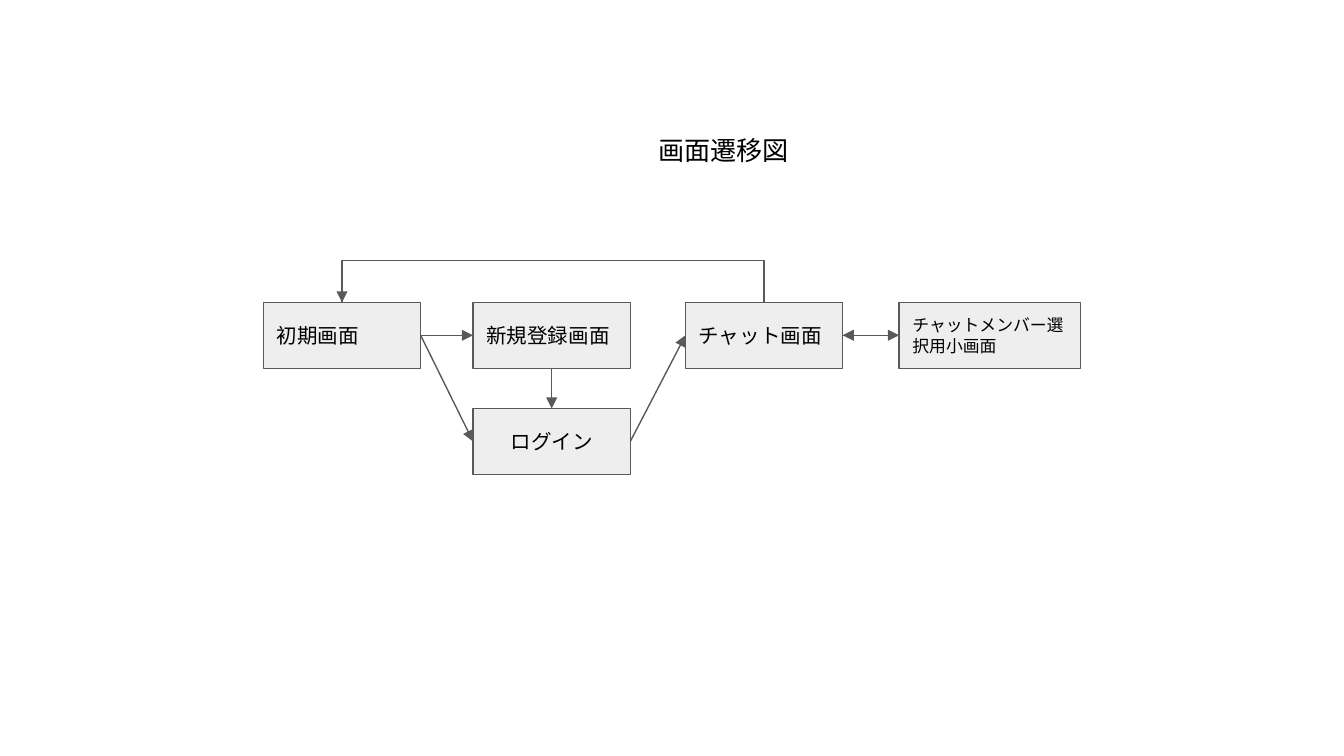
from lxml.etree import SubElement
from pptx import Presentation
from pptx.dml.color import RGBColor
from pptx.enum.shapes import MSO_CONNECTOR, MSO_SHAPE
from pptx.enum.text import MSO_ANCHOR, MSO_AUTO_SIZE, PP_ALIGN
from pptx.oxml.ns import qn
from pptx.util import Emu, Inches, Pt

TOP, LEFT, BOTTOM, RIGHT = range(4)
BOX_WIDTH, BOX_HEIGHT = 1.17, 0.49
LINE_COLOR = "595959"


def color(value):
    return RGBColor.from_string(value)


def write_text(shape, text, size=11, align=PP_ALIGN.LEFT, anchor=MSO_ANCHOR.MIDDLE):
    frame = shape.text_frame
    frame.word_wrap = True
    frame.auto_size = MSO_AUTO_SIZE.NONE
    frame.vertical_anchor = anchor
    frame.margin_left = frame.margin_right = Inches(0.1)
    frame.margin_top = frame.margin_bottom = Inches(0.1)
    paragraph = frame.paragraphs[0]
    paragraph.alignment = align
    run = paragraph.add_run()
    run.text = text
    run.font.name = "Arial"
    run.font.size = Pt(size)
    run.font.color.rgb = color("000000")


def add_title(slide, left, top, width, height):
    title = slide.shapes.title
    title.left, title.top = Inches(left), Inches(top)
    title.width, title.height = Inches(width), Inches(height)
    write_text(title, "画面遷移図", size=14, align=PP_ALIGN.CENTER, anchor=MSO_ANCHOR.TOP)


def add_screen(slide, left, top, text, width=BOX_WIDTH, **text_format):
    shape = slide.shapes.add_shape(
        MSO_SHAPE.RECTANGLE, Inches(left), Inches(top), Inches(width), Inches(BOX_HEIGHT)
    )
    shape.shadow.inherit = False
    shape.fill.solid()
    shape.fill.fore_color.rgb = color("EEEEEE")
    shape.line.color.rgb = color(LINE_COLOR)
    shape.line.width = Pt(0.75)
    write_text(shape, text, **text_format)
    return shape


def add_line(slide, start, end, kind=MSO_CONNECTOR.STRAIGHT, arrow=True):
    points = [Inches(value) for value in (*start, *end)]
    connector = slide.shapes.add_connector(kind, *points)
    connector.line.color.rgb = color(LINE_COLOR)
    connector.line.width = Pt(0.75)
    properties = connector._element.spPr
    if arrow:
        SubElement(properties.find(qn("a:ln")), qn("a:tailEnd"), type="triangle")
    SubElement(properties, qn("a:effectLst"))
    return connector


def link(slide, source, source_site, target, target_site):
    connector = add_line(slide, (0, 0), (1, 1))
    connector.begin_connect(source, source_site)
    connector.end_connect(target, target_site)


def add_return_route(slide, start_x, end_x, box_top, rise):
    center_x = (start_x + end_x) / 2
    half_span = (start_x - end_x) / 2
    depth = Emu(600)
    route = add_line(
        slide,
        (center_x, box_top - half_span),
        (center_x, box_top + half_span),
        kind=MSO_CONNECTOR.ELBOW,
        arrow=False,
    )
    route.width = depth
    properties = route._element.spPr
    properties.find(qn("a:xfrm")).set("rot", "5400000")
    guides = properties.find(qn("a:prstGeom")).find(qn("a:avLst"))
    bend = round(-Inches(rise) / depth * 100000)
    SubElement(guides, qn("a:gd"), name="adj1", fmla=f"val {bend}")
    add_line(slide, (end_x, box_top - rise + 0.01), (end_x, box_top))


def add_flow(slide, left, top):
    signup = add_screen(slide, left + 1.56, top, "新規登録画面")
    login = add_screen(slide, left + 1.56, top + 0.79, "ログイン", align=PP_ALIGN.CENTER)
    start = add_screen(slide, left, top, "初期画面")
    chat = add_screen(slide, left + 3.14, top, "チャット画面")
    members = add_screen(
        slide, left + 4.73, top, "チャットメンバー選択用小画面", width=1.35, size=9
    )
    for source, source_site, target, target_site in (
        (start, RIGHT, signup, LEFT),
        (start, RIGHT, login, LEFT),
        (signup, BOTTOM, login, TOP),
        (login, RIGHT, chat, LEFT),
        (chat, RIGHT, members, LEFT),
        (members, LEFT, chat, RIGHT),
    ):
        link(slide, source, source_site, target, target_site)
    center = left + BOX_WIDTH / 2
    add_return_route(slide, center + 3.14, center, top, rise=0.26)


def main():
    presentation = Presentation()
    presentation.slide_width = Inches(10)
    presentation.slide_height = presentation.slide_width * 9 // 16
    slide = presentation.slides.add_slide(presentation.slide_layouts[5])
    add_title(slide, 3.13, 0.9, 4.51, 0.44)
    add_flow(slide, 1.96, 2.25)
    presentation.save("out.pptx")


if __name__ == "__main__":
    main()
